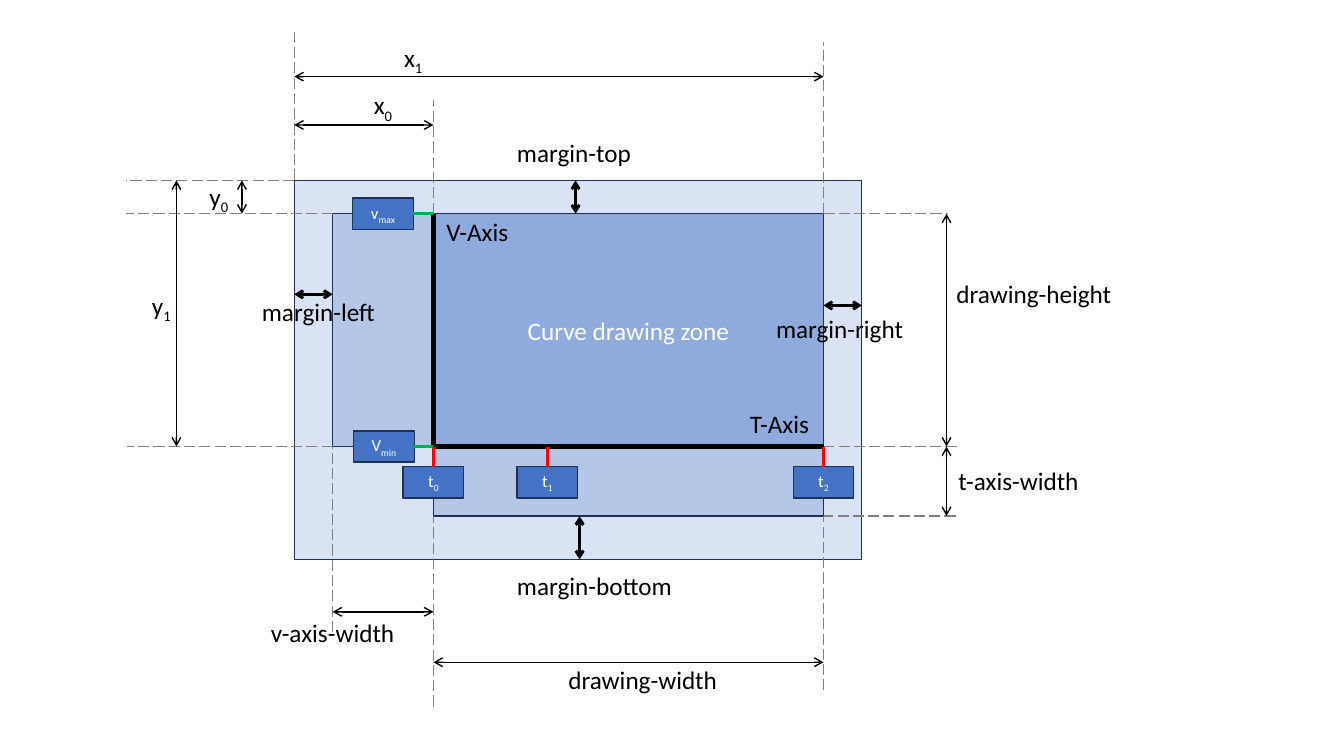
import dataclasses
import typing

import pptx
import pptx.dml.color
import pptx.enum.dml
import pptx.enum.shapes
import pptx.enum.text
import pptx.oxml
import pptx.oxml.ns
import pptx.util

RGB = pptx.dml.color.RGBColor
PALE = RGB(0xDA, 0xE3, 0xF3)
LIGHT = RGB(0xB4, 0xC7, 0xE7)
MEDIUM = RGB(0x8F, 0xAA, 0xDC)
STRONG = RGB(0x44, 0x72, 0xC4)
OUTLINE = RGB(0x1E, 0x32, 0x56)
BLACK = RGB(0, 0, 0)
WHITE = RGB(0xFF, 0xFF, 0xFF)
GRAY = RGB(0x80, 0x80, 0x80)
RED = RGB(0xFF, 0, 0)
GREEN = RGB(0, 0xB0, 0x50)

FONT = "Calibri"
CELL = pptx.util.Inches(0.1)
COLUMNS, ROWS = 133.33, 75

LEFT, V_LEFT, T0, T1, T2, RIGHT = 29.2, 33, 43, 54.3, 81.7, 85.5
TOP, V_MAX, V_MIN, T_BOTTOM, BOTTOM = 17.9, 21.2, 44.3, 51.2, 55.5
HEIGHT_X = 93.9
TAG_W, TAG_H, TAG_TOP = 6, 3.1, 46.3
LABEL_H = 4


@dataclasses.dataclass
class Zone:
    left: float
    top: float
    right: float
    bottom: float
    fill: RGB
    text: str = ""


@dataclasses.dataclass
class Tag:
    x: float
    y: float
    text: str
    sub: str
    side: int
    tick_to: tuple[float, float]
    tick_color: RGB


@dataclasses.dataclass
class Line:
    x1: float
    y1: float
    x2: float
    y2: float


@dataclasses.dataclass
class Label:
    left: float
    top: float
    width: float
    text: str
    sub: str = ""


ZONES = [
    Zone(LEFT, TOP, RIGHT, BOTTOM, PALE),
    Zone(V_LEFT, V_MAX, T0, V_MIN, LIGHT),
    Zone(T0, V_MAX, T2, V_MIN, MEDIUM, "Curve drawing zone"),
    Zone(T0, V_MIN, T2, T_BOTTOM, LIGHT),
]
TAGS = [
    Tag(35, V_MAX - TAG_H / 2, "v", "max", 3, (T0, V_MAX), GREEN),
    Tag(35.1, V_MIN - TAG_H / 2, "V", "min", 3, (T0, V_MIN), GREEN),
] + [
    Tag(x - TAG_W / 2, TAG_TOP, "t", str(i), 0, (x, V_MIN), RED)
    for i, x in enumerate((T0, T1, T2))
]
AXES = [Line(T0, V_MAX, T0, V_MIN), Line(T2, V_MIN, T0, V_MIN)]
GUIDES = [
    Line(T0, V_MAX, T0, 9.9),
    Line(T2, V_MAX, 94, V_MAX),
    Line(LEFT, TOP, LEFT, 2.9),
    Line(LEFT, TOP, 12.5, TOP),
    Line(V_LEFT, V_MAX, 12.5, V_MAX),
    Line(V_LEFT, V_MIN, 12.6, V_MIN),
    Line(T0, 70.1, T0, T_BOTTOM),
    Line(T2, 68.5, T2, T_BOTTOM),
    Line(V_LEFT, 62.7, V_LEFT, V_MIN),
    Line(94.9, V_MIN, T2, V_MIN),
    Line(T2, V_MAX, T2, 4.2),
    Line(94.8, T_BOTTOM, T2, T_BOTTOM),
]
MARGINS = [
    Line(57.1, V_MAX, 57.1, TOP),
    Line(57.5, BOTTOM, 57.5, T_BOTTOM),
    Line(T2, 30.3, RIGHT, 30.3),
    Line(LEFT, 29.2, V_LEFT, 29.2),
]
DIMENSIONS = [
    Line(T0, 65.7, T2, 65.7),
    Line(HEIGHT_X, V_MAX, HEIGHT_X, V_MIN),
    Line(LEFT, 12.4, T0, 12.4),
    Line(LEFT, 7.6, T2, 7.6),
    Line(24, TOP, 24, V_MAX),
    Line(17.5, TOP, 17.5, V_MIN),
    Line(V_LEFT, 60.7, T0, 60.7),
    Line(HEIGHT_X, V_MIN, HEIGHT_X, T_BOTTOM),
]
LABELS = [
    Label(50.3, 13.1, 13.4, "margin-top"),
    Label(50.3, 56.1, 17.6, "margin-bottom"),
    Label(76, 30.6, 14.8, "margin-right"),
    Label(25, 28.9, 13.4, "margin-left"),
    Label(55.4, 65.4, 16.9, "drawing-width"),
    Label(93.9, 27.1, 17.6, "drawing-height"),
    Label(36.1, 8.4, 4, "x", "0"),
    Label(39.1, 3.7, 4, "x", "1"),
    Label(19.8, 17.5, 4, "y", "0"),
    Label(14.1, 28.3, 4, "y", "1"),
    Label(25.9, 60.8, 14.4, "v-axis-width"),
    Label(43.3, 21, 8.2, "V-Axis"),
    Label(73.4, 40, 7.9, "T-Axis"),
    Label(94.1, 45.7, 14, "t-axis-width"),
]


def grid(n: float) -> int:
    return round(n * CELL)


def write(tf: typing.Any, text: str, sub: str, size: int, color: RGB) -> None:
    tf.text = text
    p = tf.paragraphs[0]
    if sub:
        r = p.add_run()
        r.text = sub
        r.font._element.set("baseline", "-25000")
    for r in p.runs:
        r.font.name = FONT
        r.font.size = pptx.util.Pt(size)
        r.font.color.rgb = color


def add_box(slide: typing.Any, x: float, y: float, w: float, h: float,
            fill: RGB, text: str = "", sub: str = "", size: int = 18) -> typing.Any:
    sp = slide.shapes.add_shape(pptx.enum.shapes.MSO_SHAPE.RECTANGLE,
                                grid(x), grid(y), grid(w), grid(h))
    sp.shadow.inherit = False
    sp.fill.solid()
    sp.fill.fore_color.rgb = fill
    sp.line.color.rgb = OUTLINE
    sp.line.width = pptx.util.Pt(1)
    if text:
        tf = sp.text_frame
        tf.vertical_anchor = pptx.enum.text.MSO_ANCHOR.MIDDLE
        write(tf, text, sub, size, WHITE)
        tf.paragraphs[0].alignment = pptx.enum.text.PP_ALIGN.CENTER
    return sp


def add_line(slide: typing.Any, line: Line, color: RGB, width: float,
             arrows: bool = False, dashed: bool = False) -> typing.Any:
    cxn = slide.shapes.add_connector(
        pptx.enum.shapes.MSO_CONNECTOR.STRAIGHT,
        grid(line.x1), grid(line.y1), grid(line.x2), grid(line.y2))
    cxn.line.color.rgb = color
    cxn.line.width = pptx.util.Pt(width)
    if dashed:
        cxn.line.dash_style = pptx.enum.dml.MSO_LINE.LONG_DASH
    sppr = cxn._element.spPr
    if arrows:
        ln = sppr.find(pptx.oxml.ns.qn("a:ln"))
        for end in ("headEnd", "tailEnd"):
            ln.append(pptx.oxml.parse_xml(
                f'<a:{end} {pptx.oxml.ns.nsdecls("a")} type="arrow"/>'))
    sppr.append(pptx.oxml.parse_xml(f'<a:effectLst {pptx.oxml.ns.nsdecls("a")}/>'))
    return cxn


def add_tag(slide: typing.Any, tag: Tag) -> None:
    sp = add_box(slide, tag.x, tag.y, TAG_W, TAG_H, STRONG, tag.text, tag.sub, 12)
    tick = add_line(slide, Line(*tag.tick_to, tag.x, tag.y), tag.tick_color, 2)
    tick.end_connect(sp, tag.side)


def add_label(slide: typing.Any, label: Label) -> None:
    sp = slide.shapes.add_textbox(grid(label.left), grid(label.top),
                                  grid(label.width), grid(LABEL_H))
    tf = sp.text_frame
    tf.word_wrap = False
    tf.auto_size = pptx.enum.text.MSO_AUTO_SIZE.SHAPE_TO_FIT_TEXT
    write(tf, label.text, label.sub, 18, BLACK)


def main() -> None:
    prs = pptx.Presentation()
    prs.slide_width, prs.slide_height = grid(COLUMNS), grid(ROWS)
    slide = prs.slides.add_slide(prs.slide_layouts[6])
    for z in ZONES:
        add_box(slide, z.left, z.top, z.right - z.left, z.bottom - z.top, z.fill, z.text)
    for line in AXES:
        add_line(slide, line, BLACK, 4)
    for tag in TAGS:
        add_tag(slide, tag)
    for line in GUIDES:
        add_line(slide, line, GRAY, 1, dashed=True)
    for line in MARGINS:
        add_line(slide, line, BLACK, 2, arrows=True)
    for line in DIMENSIONS:
        add_line(slide, line, BLACK, 1, arrows=True)
    for label in LABELS:
        add_label(slide, label)
    prs.save("out.pptx")


if __name__ == "__main__":
    main()
